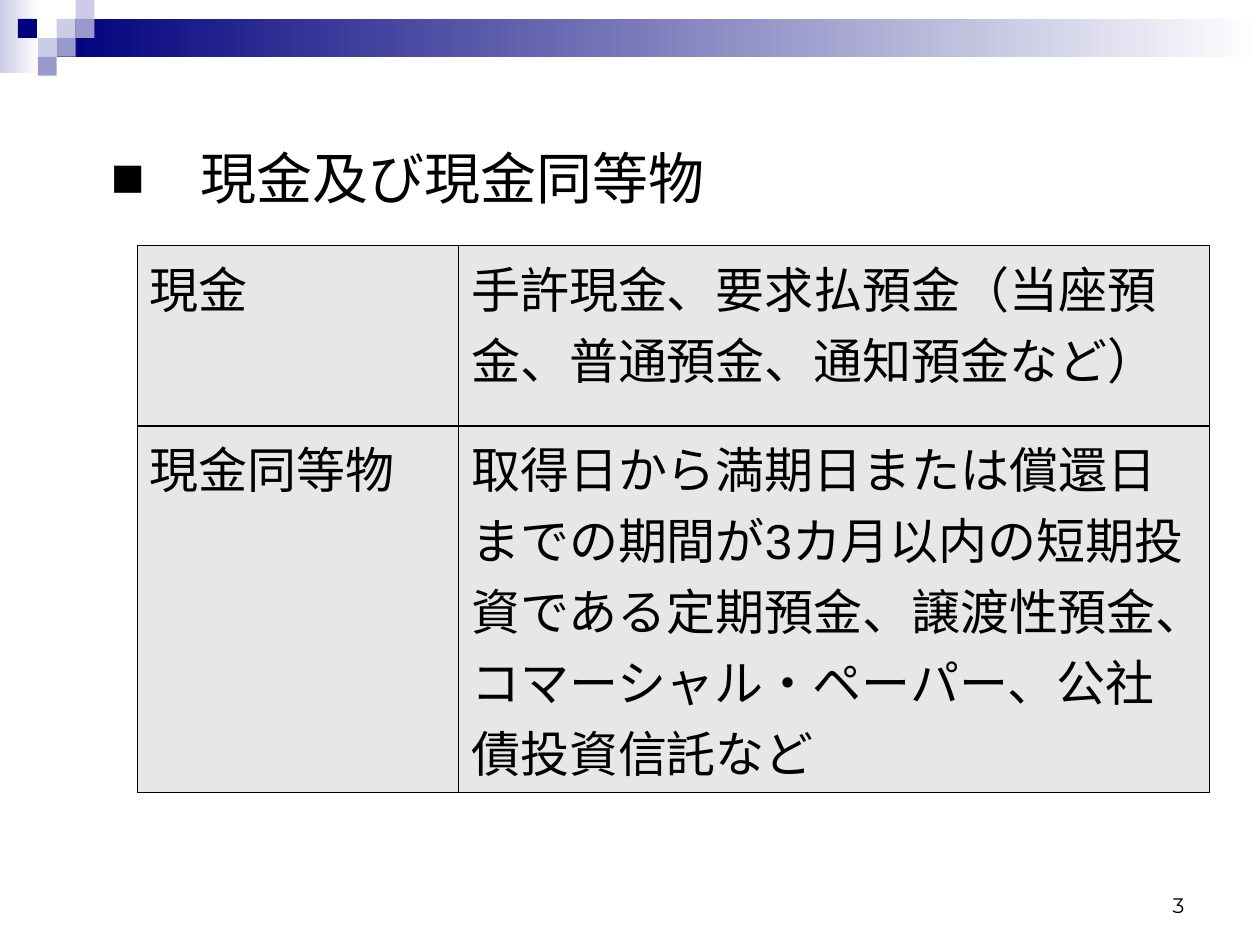
"""Build the slide that defines cash and cash equivalents."""
from lxml.etree import SubElement
from pptx import Presentation
from pptx.dml.color import RGBColor
from pptx.enum.shapes import MSO_SHAPE as Shape
from pptx.enum.text import MSO_ANCHOR as Anchor, PP_ALIGN as Align
from pptx.oxml import parse_xml
from pptx.oxml.ns import nsdecls, qn
from pptx.util import Inches, Pt


def color(value):
    return RGBColor.from_string(value)


def write(frame, text, size=28, font="Arial", fill="000000", align=Align.LEFT):
    frame.word_wrap = True
    paragraph = frame.paragraphs[0]
    paragraph.alignment = align
    run = paragraph.add_run()
    run.text = text
    run.font.size = Pt(size)
    run.font.name = font
    run.font.color.rgb = color(fill)
    return paragraph


presentation = Presentation()
presentation.slide_width = Inches(10)
presentation.slide_height = Inches(7.5)
slide = presentation.slides.add_slide(presentation.slide_layouts[1])
title, body = slide.placeholders
title.element.getparent().remove(title.element)

tile = 0.15
decorations = [
    (0, 0, 0.31, 0.58, ["CCCCE6", "FFFFFF"]),
    (0.45, tile, 9.55, 0.3, ["00007D", "FFFFFF"]),
]
tiles = [
    (3, 1, "CCCCE6"), (4, 0, "CCCCE6"), (4, 1, "9999CC"), (2, 2, "CCCCE6"),
    (0.95, 1, "00007D"), (3, 2, "9999CC"), (2, 3, "9999CC"),
]
decorations += [(column * tile, row * tile, tile, tile, [fill]) for column, row, fill in tiles]

for left, top, width, height, fills in decorations:
    shape = slide.shapes.add_shape(
        Shape.RECTANGLE, Inches(left), Inches(top), Inches(width), Inches(height))
    shape.shadow.inherit = False
    shape.line.fill.background()
    if len(fills) == 1:
        shape.fill.solid()
        shape.fill.fore_color.rgb = color(fills[0])
    else:
        shape.fill.gradient()
        shape.fill.gradient_angle = 0
        for stop, fill in zip(shape.fill.gradient_stops, fills):
            stop.color.rgb = color(fill)

body.left, body.top, body.width, body.height = map(Inches, (0.78, 1.09, 5.86, 0.64))
heading = write(body.text_frame, "　現金及び現金同等物", size=32)
heading.space_before = Pt(0)
properties = heading._p.get_or_add_pPr()
properties.set("marL", "0")
properties.set("indent", "0")
SubElement(properties, qn("a:buChar")).set("char", "■")

page_number = slide.shapes.add_textbox(Inches(7.17), Inches(6.83), Inches(2.33), Inches(0.5))
page_number.text_frame.vertical_anchor = Anchor.BOTTOM
write(page_number.text_frame, "3", size=12, font="Montserrat", align=Align.RIGHT)

definitions = [
    ("現金", "手許現金、要求払預金（当座預金、普通預金、通知預金など）"),
    ("現金同等物", "取得日から満期日または償還日までの期間が3カ月以内の短期投資である"
     "定期預金、譲渡性預金、コマーシャル・ペーパー、公社債投資信託など"),
]
table = slide.shapes.add_table(
    2, 2, Inches(1.09), Inches(1.95), Inches(8.51), Inches(4.34)).table
table.first_row = False
table.horz_banding = False
for column, width in zip(table.columns, (2.55, 5.96)):
    column.width = Inches(width)
for row, height, texts in zip(table.rows, (1.43, 2.91), definitions):
    row.height = Inches(height)
    for cell, text in zip(row.cells, texts):
        write(cell.text_frame, text)
        for side in ("lnL", "lnR", "lnT", "lnB"):
            cell._tc.get_or_add_tcPr().append(parse_xml(
                f'<a:{side} {nsdecls("a")} w="{Pt(1)}"><a:solidFill>'
                f'<a:srgbClr val="000000"/></a:solidFill></a:{side}>'))
        cell.fill.solid()
        cell.fill.fore_color.rgb = color("E7E7E7")

presentation.save("out.pptx")
